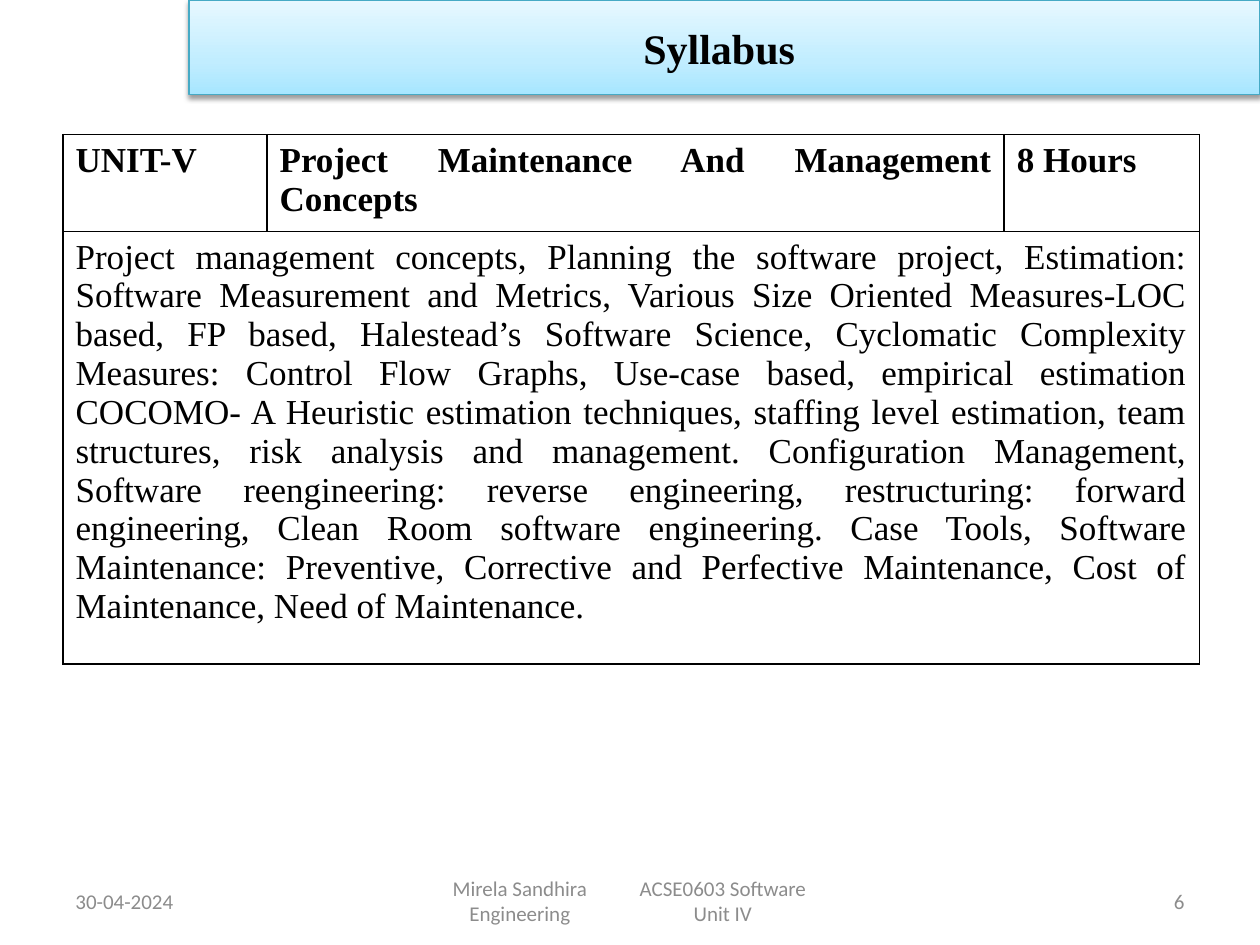
from copy import deepcopy

from lxml import etree
from pptx import Presentation
from pptx.dml.color import RGBColor
from pptx.enum.shapes import MSO_SHAPE
from pptx.enum.text import MSO_ANCHOR, PP_ALIGN
from pptx.oxml.ns import qn
from pptx.util import Pt

LEFT, CENTER, RIGHT = PP_ALIGN.LEFT, PP_ALIGN.CENTER, PP_ALIGN.RIGHT
JUSTIFY = PP_ALIGN.JUSTIFY
MIDDLE = MSO_ANCHOR.MIDDLE
RECTANGLE = MSO_SHAPE.RECTANGLE

BLACK = RGBColor(0x00, 0x00, 0x00)
WHITE = RGBColor(0xFF, 0xFF, 0xFF)
GREY = RGBColor(0x8C, 0x8C, 0x8C)
TEAL = RGBColor(0x46, 0xAA, 0xC5)
BANNER_STOPS = [
    (0, RGBColor(0xA7, 0xE6, 0xFF)),
    (0.35, RGBColor(0xC1, 0xED, 0xFF)),
    (1, RGBColor(0xE7, 0xF8, 0xFF)),
]
SERIF, SANS = "Times New Roman", "Calibri"

UNIT_HEADINGS = ["UNIT-V", "Project Maintenance And Management Concepts", "8 Hours"]
UNIT_TOPICS = (
    "Project management concepts, Planning the software project, Estimation: "
    "Software Measurement and Metrics, Various Size Oriented Measures-LOC based, "
    "FP based, Halestead’s Software Science, Cyclomatic Complexity Measures: "
    "Control Flow Graphs, Use-case based, empirical estimation COCOMO- A Heuristic "
    "estimation techniques, staffing level estimation, team structures, risk "
    "analysis and management. Configuration Management, Software reengineering: "
    "reverse engineering, restructuring: forward engineering, Clean Room software "
    "engineering. Case Tools, Software Maintenance: Preventive, Corrective and "
    "Perfective Maintenance, Cost of Maintenance, Need of Maintenance."
)
FOOTER_LINES = ["\tMirela Sandhira\tACSE0603 Software", "\tEngineering\tUnit IV"]


def add_span(para, text, font, size, color, bold=False):
    span = para.add_run()
    span.text = text
    span.font.name = font
    span.font.size = Pt(size)
    span.font.bold = bold
    span.font.color.rgb = color


def add_shadow(shape, blur, distance, alpha):
    """Cast a black shadow straight down; alpha is in percent."""
    shape.shadow.inherit = False
    effects = shape._element.spPr.find(qn("a:effectLst"))
    shadow = etree.SubElement(
        effects, qn("a:outerShdw"), blurRad=str(Pt(blur)), dist=str(Pt(distance)),
        dir="5400000", rotWithShape="0")
    color = etree.SubElement(shadow, qn("a:srgbClr"), val=str(BLACK))
    etree.SubElement(color, qn("a:alpha"), val=str(alpha * 1000))


def add_banner(page, left, top, width, height):
    banner = page.shapes.add_shape(RECTANGLE, Pt(left), Pt(top), Pt(width), Pt(height))
    banner.fill.gradient()
    banner.fill.gradient_angle = 90
    stop_list = banner._element.spPr.find(".//" + qn("a:gsLst"))
    stop_list.append(deepcopy(stop_list[0]))
    for stop, (position, color) in zip(banner.fill.gradient_stops, BANNER_STOPS):
        stop.position = position
        stop.color.rgb = color
    banner.line.color.rgb = TEAL
    banner.line.width = Pt(0.75)
    add_shadow(banner, 3.1, 1.6, 38)
    banner.text_frame.vertical_anchor = MIDDLE
    para = banner.text_frame.paragraphs[0]
    para.alignment = CENTER
    add_span(para, "Syllabus ", SERIF, 24, BLACK, bold=True)


def set_borders(cell, width):
    properties = cell._tc.get_or_add_tcPr()
    for index, side in enumerate(("a:lnL", "a:lnR", "a:lnT", "a:lnB")):
        line = etree.Element(qn(side), w=str(Pt(width)))
        fill = etree.SubElement(line, qn("a:solidFill"))
        etree.SubElement(fill, qn("a:srgbClr"), val=str(BLACK))
        properties.insert(index, line)


def add_unit_table(page, left, top, column_widths, row_heights):
    """Place the table; rows grow to fit their text."""
    table = page.shapes.add_table(
        len(row_heights), len(column_widths), Pt(left), Pt(top),
        Pt(sum(column_widths)), Pt(sum(row_heights))).table
    for column, width in zip(table.columns, column_widths):
        column.width = Pt(width)
    for row, height in zip(table.rows, row_heights):
        row.height = Pt(height)
    table.cell(1, 0).merge(table.cell(1, len(column_widths) - 1))
    for cell in table.iter_cells():
        cell.fill.solid()
        cell.fill.fore_color.rgb = WHITE
        set_borders(cell, 1)
    entries = [(0, column, text, True) for column, text in enumerate(UNIT_HEADINGS)]
    entries.append((1, 0, UNIT_TOPICS, False))
    for row, column, text, bold in entries:
        para = table.cell(row, column).text_frame.paragraphs[0]
        para.alignment = JUSTIFY
        add_span(para, text, SERIF, 20, BLACK, bold)


def add_footer_text(page, left, top, width, height, lines, align, tabs=()):
    """Place grey footer lines, with optional centred tab stops in points."""
    box = page.shapes.add_textbox(Pt(left), Pt(top), Pt(width), Pt(height))
    box.text_frame.word_wrap = True
    box.text_frame.vertical_anchor = MIDDLE
    para = box.text_frame.paragraphs[0]
    para.alignment = align
    if tabs:
        tab_list = etree.SubElement(para._p.get_or_add_pPr(), qn("a:tabLst"))
        for position in tabs:
            etree.SubElement(tab_list, qn("a:tab"), pos=str(Pt(position)), algn="ctr")
    for index, line in enumerate(lines):
        if index:
            para.add_line_break()
        add_span(para, line, SANS, 12, GREY)


def add_footer(page, left, top, width, height):
    side, middle = 168, 228
    add_footer_text(page, left, top, side, height, ["30-04-2024"], LEFT)
    add_footer_text(page, left + (width - middle) / 2, top, middle, height,
                    FOOTER_LINES, LEFT, tabs=(44, 160))
    add_footer_text(page, left + width - side, top, side, height, ["6"], RIGHT)


def main():
    deck = Presentation()
    deck.slide_width, deck.slide_height = Pt(720), Pt(540)
    page = deck.slides.add_slide(deck.slide_layouts[6])
    add_footer(page, 36, 500.5, 648, 28.75)
    add_banner(page, 108, 0, 612, 54)
    add_unit_table(page, 36, 77, [116.64, 421.2, 111.6], [38, 223])
    deck.save("out.pptx")


if __name__ == "__main__":
    main()
